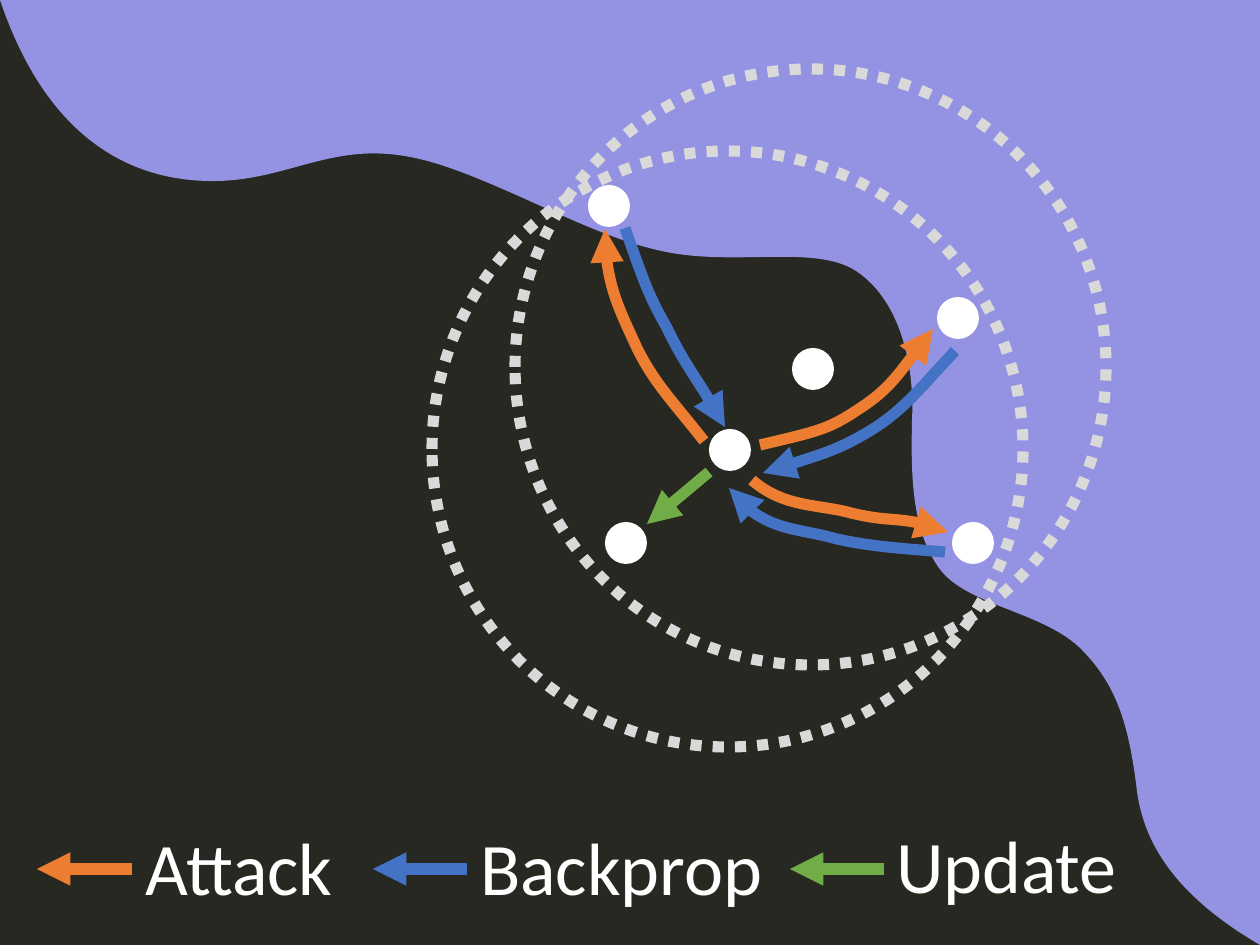
"""Build the slide of attack, backprop and update steps around a decision edge."""
from lxml import etree
from pptx import Presentation
from pptx.dml.color import RGBColor
from pptx.enum.dml import MSO_LINE
from pptx.enum.shapes import MSO_CONNECTOR, MSO_SHAPE
from pptx.oxml.ns import qn
from pptx.util import Pt

PX = 6858
OVAL = MSO_SHAPE.OVAL
LINE = MSO_CONNECTOR.STRAIGHT
DOTS = MSO_LINE.ROUND_DOT
ORANGE, BLUE, GREEN = "ED7D31", "4472C4", "70AD47"
WHITE, GREY, DARK, LILAC = "FFFFFF", "D9D9D9", "262821", "9493E3"
color = RGBColor.from_string

deck = Presentation()
deck.slide_width, deck.slide_height = 1260 * PX, 945 * PX
slide = deck.slides.add_slide(deck.slide_layouts[6])
slide.background.fill.solid()
slide.background.fill.fore_color.rgb = color(DARK)
shapes = slide.shapes


def curve(points, straight=0, close=False):
    """Draw straight sides first, then cubic curves of three points each."""
    pen = shapes.build_freeform(*points[0], scale=PX)
    pen.add_line_segments(points[1:], close=close)
    shape = pen.convert_to_shape()
    shape.shadow.inherit = False
    sides = list(shape._element.iter(qn("a:lnTo")))[straight:]
    for i in range(0, len(points) - 1 - straight, 3):
        bend = etree.Element(qn("a:cubicBezTo"))
        sides[i].addprevious(bend)
        for side in sides[i:i + 3]:
            bend.append(side[0])
            side.getparent().remove(side)
    return shape


def arrow(shape, hue, end):
    """Give a line its colour, width and arrowhead, without a shadow."""
    shape.line.color.rgb = color(hue)
    shape.line.width = Pt(6)
    props = shape._element.spPr
    etree.SubElement(props.find(qn("a:ln")), qn(end), type="triangle")
    if props.find(qn("a:effectLst")) is None:
        etree.SubElement(props, qn("a:effectLst"))


region = curve([
    (0, 0), (1260, 0), (1260, 945),
    (1176, 896), (1144, 844), (1137, 791),
    (1129, 725), (1117, 684), (1079, 647),
    (1040, 611), (965, 605), (939, 568),
    (911, 529), (911, 472), (912, 421),
    (915, 365), (900, 300), (856, 271),
    (813, 243), (728, 269), (653, 249),
    (577, 231), (476, 167), (404, 156),
    (331, 144), (288, 179), (219, 181),
    (144, 183), (51, 151), (0, 0),
], straight=2, close=True)
region.fill.solid()
region.fill.fore_color.rgb = color(LILAC)
region.line.fill.background()

for x, y in [(432, 151), (515, 69)]:
    ring = shapes.add_shape(OVAL, x * PX, y * PX, 591 * PX, 596 * PX)
    ring.shadow.inherit = False
    ring.fill.background()
    ring.line.color.rgb = color(GREY)
    ring.line.width = Pt(6)
    ring.line.dash_style = DOTS

for x, y in [(792, 348), (709, 429), (588, 185), (937, 297), (952, 522), (605, 522)]:
    dot = shapes.add_shape(OVAL, x * PX, y * PX, 42 * PX, 42 * PX)
    dot.shadow.inherit = False
    dot.fill.solid()
    dot.fill.fore_color.rgb = color(WHITE)
    dot.line.fill.background()

paths = [
    (ORANGE, [(704, 441), (671, 399), (655, 384), (637, 348),
              (621, 313), (604, 280), (605, 229)]),
    (BLUE, [(625, 228), (645, 285), (649, 296), (667, 328),
            (683, 361), (701, 384), (725, 427)]),
    (ORANGE, [(760, 445), (820, 431), (829, 429), (859, 409),
              (887, 391), (907, 364), (933, 329)]),
    (BLUE, [(955, 351), (923, 385), (905, 409), (873, 429),
            (841, 449), (807, 459), (763, 473)]),
    (ORANGE, [(752, 480), (784, 508), (819, 504), (851, 513),
              (884, 521), (909, 516), (948, 532)]),
    (BLUE, [(945, 552), (909, 549), (872, 547), (837, 539),
            (801, 529), (760, 531), (729, 488)]),
]
for hue, points in paths:
    step = curve(points)
    step.fill.background()
    arrow(step, hue, "a:tailEnd")

legend = [
    ("Attack", 132, 815, 239),
    ("Backprop", 467, 815, 325),
    ("Update", 883, 813, 259),
]
for label, x, y, wide in legend:
    box = shapes.add_textbox(x * PX, y * PX, wide * PX, 103 * PX)
    box.text_frame.word_wrap = True
    run = box.text_frame.paragraphs[0].add_run()
    run.text = label
    run.font.size = Pt(40)
    run.font.name = "Calibri"
    run.font.color.rgb = color(WHITE)

lines = [
    (ORANGE, 37, 869, 132, 869),
    (BLUE, 373, 869, 467, 869),
    (GREEN, 790, 869, 884, 869),
    (GREEN, 647, 524, 709, 472),
]
for hue, *ends in lines:
    link = shapes.add_connector(LINE, *[n * PX for n in ends])
    arrow(link, hue, "a:headEnd")

deck.save("out.pptx")
